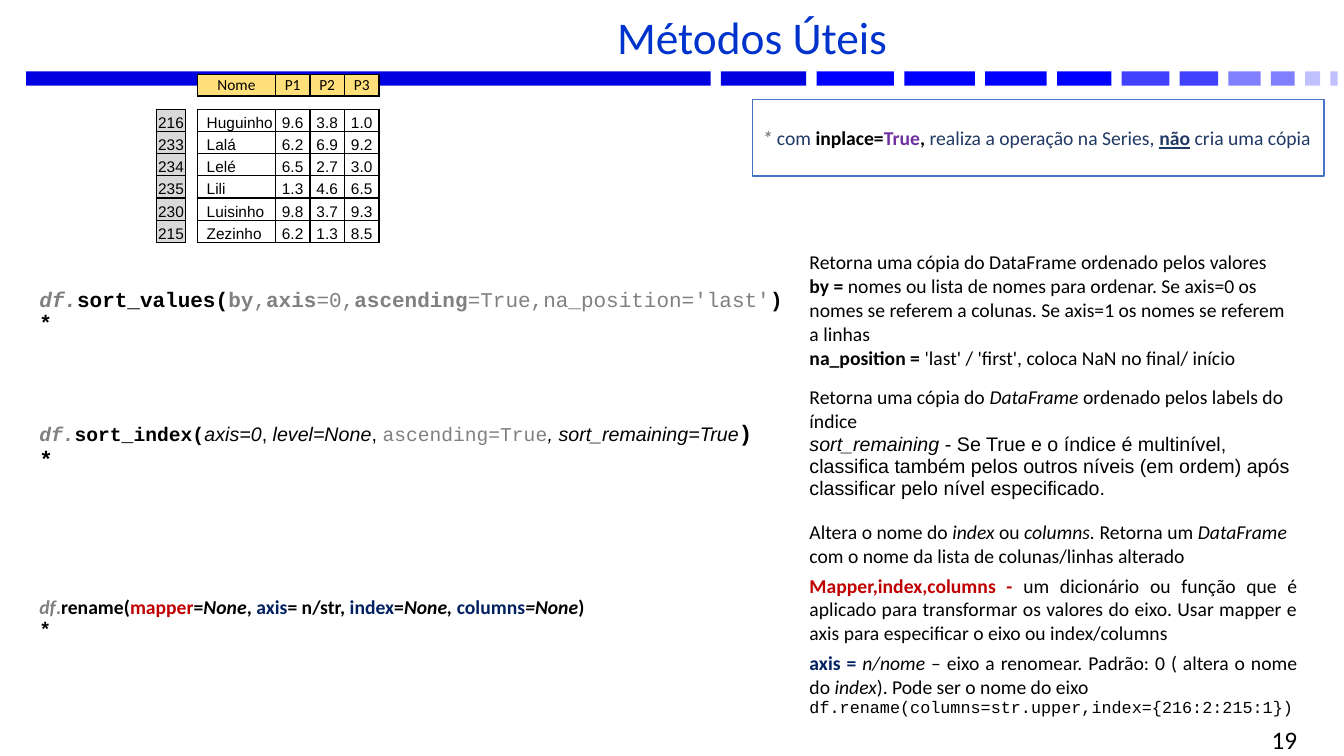
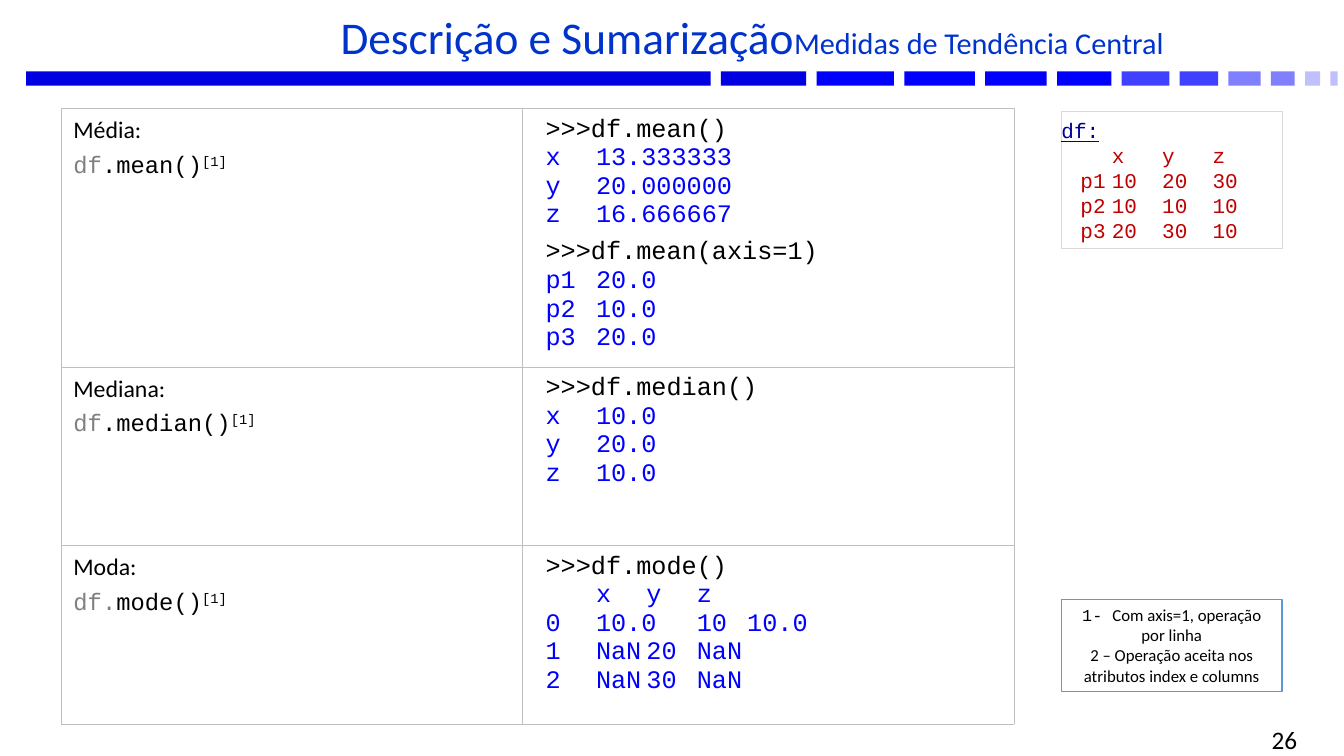
from dataclasses import dataclass, field
from lxml.etree import SubElement
from pptx import Presentation
from pptx.dml.color import RGBColor
from pptx.enum.shapes import MSO_SHAPE as Kind
from pptx.enum.text import MSO_ANCHOR as Anchor, PP_ALIGN as Align
from pptx.oxml import parse_xml
from pptx.oxml.ns import nsdecls, qn
from pptx.util import Cm, Pt


@dataclass(frozen=True)
class Theme:
    sans: str = "Calibri"
    plain: str = "Arial"
    mono: str = "Courier New"
    black: str = "000000"
    white: str = "FFFFFF"
    title: str = "0033CC"
    blue: str = "0000FF"
    gray: str = "808080"
    red: str = "C00000"
    navy: str = "002060"
    slate: str = "203864"
    purple: str = "7030A0"
    link: str = "000099"
    frame: str = "4472C4"
    sky: str = "5B9BD5"
    rule: str = "BFBFBF"
    pale: str = "D9D9D9"
    gold: str = "FFDF79"
    bars: tuple = ("0000E0",) * 2 + ("0000FF",) * 4 + ("4040FF",) * 2 + ("8080FF",) * 2 + ("C0C0FF",) * 2
    head: float = 32.4
    sub: float = 21.6
    code: float = 18
    term: float = 17
    star: float = 16
    call: float = 15
    body: float = 14
    note: float = 12
    tiny: float = 11


T = Theme()
PAD = (0.25, 0.13, 0.25, 0.13)
NONE = (0, 0, 0, 0)


@dataclass
class Run:
    text: str
    ink: str = T.black
    mark: str = ""
    face: str = ""
    size: float = 0


@dataclass
class Para:
    runs: list
    face: str = T.sans
    size: float = T.body
    align: Align = Align.LEFT
    before: float = 0
    line: float = 1
    first: float = 0
    tabs: tuple = ()
    side: str = "l"


@dataclass
class Cell:
    paras: list = field(default_factory=list)
    fill: str = ""
    pad: tuple = PAD
    anchor: Anchor = Anchor.TOP
    edge: tuple = ()


class Deck:
    def __init__(self):
        self.show = Presentation()
        self.show.slide_width, self.show.slide_height = Cm(33.87), Cm(19.05)
        self.page = None

    def start(self, title, number):
        self.page = self.show.slides.add_slide(self.show.slide_layouts[6])
        left = 0.66
        wide = (17.25, 2.15, 1.95, 1.78, 1.55, 1.37, 1.2, 0.97, 0.81, 0.6, 0.38, 0.18)
        for width, color in zip(wide, T.bars):
            self.box((left, 1.8, width, 0.36), fill=color)
            left += width + 0.26
        self.label((4.72, 0.36, 28.47, 1.37),
                   Para(title, size=T.head, align=Align.CENTER, before=6, line=0.8))
        self.label((25.04, 18.36, 7.9, 0.56),
                   Para([Run(number)], size=T.code, align=Align.RIGHT))

    def label(self, at, para):
        frame = self.page.shapes.add_textbox(*map(Cm, at)).text_frame
        frame.word_wrap = True
        self.put(frame, [para], PAD, Anchor.MIDDLE)

    def box(self, at, paras=(), fill="", line=(), pad=PAD, anchor=Anchor.TOP):
        shape = self.page.shapes.add_shape(Kind.RECTANGLE, *map(Cm, at))
        shape.shadow.inherit = False
        self.paint(shape.fill, fill)
        if line:
            self.paint(shape.line.fill, line[0])
            shape.line.width = Pt(line[1])
        else:
            shape.line.fill.background()
        if paras:
            shape.text_frame.word_wrap = True
            self.put(shape.text_frame, paras, pad, anchor)

    def paint(self, fill, color):
        if color:
            fill.solid()
            fill.fore_color.rgb = RGBColor.from_string(color)
        else:
            fill.background()

    def put(self, box, paras, pad, anchor):
        box.margin_left, box.margin_top, box.margin_right, box.margin_bottom = map(Cm, pad)
        box.vertical_anchor = anchor
        frame = getattr(box, "text_frame", box)
        for n, para in enumerate(paras):
            text = frame.add_paragraph() if n else frame.paragraphs[0]
            text.alignment = para.align
            text.line_spacing = para.line
            text.space_before = Pt(para.before)
            props = text._p.get_or_add_pPr()
            props.set("marL", "0")
            props.set("indent", str(Cm(para.first)))
            if para.tabs:
                stops = SubElement(props, qn("a:tabLst"))
                for stop in para.tabs:
                    SubElement(stops, qn("a:tab"), pos=str(Cm(stop)), algn=para.side)
            for run in para.runs:
                self.add(text, run, para)

    def add(self, text, run, para):
        part = text.add_run()
        part.text = run.text
        font = part.font
        font.name = run.face or para.face
        font.size = Pt(run.size or para.size)
        font.bold, font.italic = "b" in run.mark, "i" in run.mark
        font.underline = "u" in run.mark
        font.color.rgb = RGBColor.from_string(run.ink)
        if "s" in run.mark:
            part._r.get_or_add_rPr().set("baseline", "30000")

    def table(self, left, top, cols, rows, grid):
        frame = self.page.shapes.add_table(
            len(rows), len(cols), Cm(left), Cm(top), Cm(sum(cols)), Cm(sum(rows)))
        table = frame.table
        table.first_row = table.horz_banding = False
        style = table._tbl.tblPr.find(qn("a:tableStyleId"))
        style.text = "{2D5ABB26-0587-4C30-8999-92F81FD0307C}"
        for col, width in zip(table.columns, cols):
            col.width = Cm(width)
        for row, height, cells in zip(table.rows, rows, grid):
            row.height = Cm(height)
            for spot, cell in zip(row.cells, cells):
                self.paint(spot.fill, cell.fill)
                self.put(spot, cell.paras, cell.pad, cell.anchor)
                if not cell.paras:
                    last = spot.text_frame.paragraphs[0]._p
                    SubElement(last, qn("a:endParaRPr"), sz="400")
                if cell.edge:
                    self.edge(spot, *cell.edge)

    def edge(self, spot, color, width):
        props = spot._tc.get_or_add_tcPr()
        for n, side in enumerate("LRTB"):
            props.insert(n, parse_xml(
                f'<a:ln{side} {nsdecls("a")} w="{Pt(width)}"><a:solidFill>'
                f'<a:srgbClr val="{color}"/></a:solidFill></a:ln{side}>'))


def grades(deck):
    edge = (T.black, 1)
    blank = Cell(pad=NONE)

    def cell(text, fill="", left=0.03, align=Align.CENTER):
        para = Para([Run(text)], T.plain, T.tiny, align)
        return Cell([para], fill, (left, 0.03, 0.03, 0), Anchor.BOTTOM, edge)

    def head(text):
        para = Para([Run(text)], size=T.tiny, align=Align.CENTER, line=1.07)
        return Cell([para], T.gold, NONE, edge=edge)

    data = (("216", "Huguinho", "9.6", "3.8", "1.0"),
            ("233", "Lalá", "6.2", "6.9", "9.2"),
            ("234", "Lelé", "6.5", "2.7", "3.0"),
            ("235", "Lili", "1.3", "4.6", "6.5"),
            ("230", "Luisinho", "9.8", "3.7", "9.3"),
            ("215", "Zezinho", "6.2", "1.3", "8.5"))
    grid = [[blank] * 2 + [head(t) for t in ("Nome", "P1", "P2", "P3")], [blank] * 6]
    for key, name, *marks in data:
        grid.append([cell(key, T.pale), blank, cell(name, left=0.23, align=Align.LEFT)]
                    + [cell(mark) for mark in marks])
    deck.table(3.94, 1.88, (0.74, 0.3, 1.96, 0.87, 0.87, 0.87),
               (0.54, 0.33) + (0.56,) * len(data), grid)


def useful(deck):
    deck.start([Run("Métodos Úteis", T.title)], "19")
    star = Run("*", mark="b", face=T.mono)
    sort = [Para([
        Run("df.", T.gray, "bi"), Run("sort_values(", mark="b"), Run("by", T.gray, "b"),
        Run(",", T.gray), Run("axis", T.gray, "b"), Run("=0,", T.gray),
        Run("ascending", T.gray, "b"), Run("=True,na_position='last'", T.gray),
        Run(")", mark="b")], T.mono, T.call), Para([star], size=T.call)]
    order = [
        Para([Run("Retorna uma cópia do DataFrame ordenado pelos valores")]),
        Para([Run("by = ", mark="b"), Run("nomes ou lista de nomes para ordenar. Se axis=0 os nomes se "
              "referem a colunas. Se axis=1 os nomes se referem a linhas")]),
        Para([Run("na_position = ", mark="b"), Run("'last' / 'first', coloca NaN no final/ início")])]
    index = [Para([
        Run("df.", T.gray, "bi", T.mono), Run("sort_index(", mark="b", face=T.mono),
        Run("axis=0", mark="i"), Run(", "), Run("level=None", mark="i"), Run(", "),
        Run("ascending=True", T.gray, face=T.mono), Run(", sort_remaining=True", mark="i"),
        Run(")", mark="b", face=T.mono, size=T.star)], T.plain), Para([star], size=T.star)]
    labels = [
        Para([Run("Retorna uma cópia do "), Run("DataFrame ", mark="i"),
              Run("ordenado pelos labels do índice")]),
        Para([Run("sort_remaining - ", mark="i"), Run("Se True e o índice é multinível, classifica também "
              "pelos outros níveis (em ordem) após classificar pelo nível especificado.")], T.plain)]
    rename = [Para([
        Run("df", T.gray, "bi"), Run(".", T.gray, "b"), Run("rename(", mark="b"),
        Run("mapper", T.red, "b"), Run("=", mark="b"), Run("None", mark="bi"),
        Run(",", mark="b"), Run(" axis", T.navy, "b"), Run("= n/str, ", mark="b"),
        Run("index", T.navy, "b"), Run("=", mark="b"), Run("None, ", mark="bi"),
        Run("columns", T.navy, "b"), Run("=None", mark="bi"), Run(")", mark="b")]),
        Para([star])]
    names = [
        Para([Run("Altera o nome do "), Run("index ", mark="i"), Run("ou "),
              Run("columns. ", mark="i"), Run("Retorna um "), Run("DataFrame ", mark="i"),
              Run("com o nome da lista de colunas/linhas alterado")]),
        Para([Run("Mapper,index,columns - ", T.red, "b"),
              Run("um dicionário ou função que é aplicado para transformar os valores do eixo. "
                  "Usar mapper e axis para especificar o eixo ou index/columns")],
             align=Align.JUSTIFY, before=4),
        Para([Run("axis = ", T.navy, "b"), Run("n/nome ", mark="i"),
              Run("– eixo a renomear. Padrão: 0 ( altera o nome do "), Run("index", mark="i"),
              Run("). Pode ser o nome do eixo")], align=Align.JUSTIFY, before=4),
        Para([Run("df.rename(columns=str.upper,index={216:2:215:1})")], T.mono, T.note)]
    pairs = ((sort, order), (index, labels), (rename, names))
    deck.table(0.74, 6.2, (19.41, 12.8), (3.4, 3.4, 5.18),
               [[Cell(call, anchor=Anchor.MIDDLE), Cell(text)] for call, text in pairs])
    deck.box((18.97, 2.51, 14.4, 1.93), [Para([
        Run("* ", T.gray, "bi"), Run("com ", T.slate), Run("inplace=", mark="b"),
        Run("True", T.purple, "b"), Run(", ", mark="b"),
        Run("realiza a operação na Series, ", T.slate), Run("não", T.slate, "bu"),
        Run(" cria uma cópia", T.slate)], align=Align.JUSTIFY)],
        T.white, (T.frame, 1), (0.25, 0, 0.25, 0), Anchor.MIDDLE)
    grades(deck)


def center(deck):
    deck.start([Run("Descrição e Sumarização\t", T.title),
                Run("Medidas de Tendência Central", T.title, size=T.sub)], "26")

    def term(name, obj, call):
        return [Para([Run(name)], size=T.term, before=6),
                Para([Run(obj, T.gray), Run(call), Run("[1]", mark="s")], T.mono, T.term, before=6)]

    def ask(text, before=0):
        return Para([Run(">>>" + text)], T.mono, T.code, before=before)

    def out(tabs, side, *lines):
        return [Para([Run(text, T.blue)], T.mono, T.code, tabs=tabs, side=side) for text in lines]

    near, far = (1.9,), (2.29,)
    mean = [ask("df.mean()"), *out(near, "l", "x\t13.333333", "y\t20.000000", "z\t16.666667"),
            ask("df.mean(axis=1)", 6), *out(far, "l", "p1\t20.0", "p2\t10.0", "p3\t20.0")]
    median = [ask("df.median()", 3), *out(near, "l", "x\t10.0", "y\t20.0", "z\t10.0")]
    ends = (2.67, 4.19, 6.48)
    mode = [ask("df.mode()", 3), *out([e - 0.28 for e in ends], "r", "\tx\ty\tz"),
            *out(ends, "r", "0\t10.0\t10\t10.0", "1\tNaN\t20\tNaN", "2\tNaN\t30\tNaN")]
    pairs = ((term("Média:", "df", ".mean()"), mean),
             (term("Mediana:", "df", ".median()"), median),
             (term("Moda:", "df.", "mode()"), mode))
    edge = (T.rule, 0.25)
    deck.table(1.55, 2.73, (11.6, 12.4), (6.2, 4.5, 4.5),
               [[Cell(name, pad=(0.3, 0.2, 0, 0), edge=edge),
                 Cell(code, pad=(0.6, 0.2, 0, 0), edge=edge)] for name, code in pairs])

    stops = (2.39, 3.66, 4.93)
    frame = [Para([Run("df:", T.link, "u")], T.mono, T.call),
             Para([Run("\tx\ty\tz", T.red)], T.mono, T.call,
                  tabs=[s - 0.07 for s in stops], side="r")]
    for row in ("p1\t10\t20\t30", "p2\t10\t10\t10", "p3\t20\t30\t10"):
        frame.append(Para([Run(row, T.red)], T.mono, T.call, first=0.48, tabs=stops, side="r"))
    deck.box((26.75, 2.82, 5.56, 3.45), frame, line=(T.pale, 0.75), pad=(0, 0.13, 0, 0.13))
    notes = ([Run("1- ", face=T.mono), Run("Com axis=1, operação por linha")],
             [Run("2 – Operação aceita nos atributos index e columns")])
    deck.box((26.75, 15.11, 5.56, 2.31),
             [Para(runs, size=T.note, align=Align.CENTER) for runs in notes],
             T.white, (T.sky, 1))


def main():
    deck = Deck()
    useful(deck)
    center(deck)
    deck.show.save("out.pptx")


if __name__ == "__main__":
    main()
